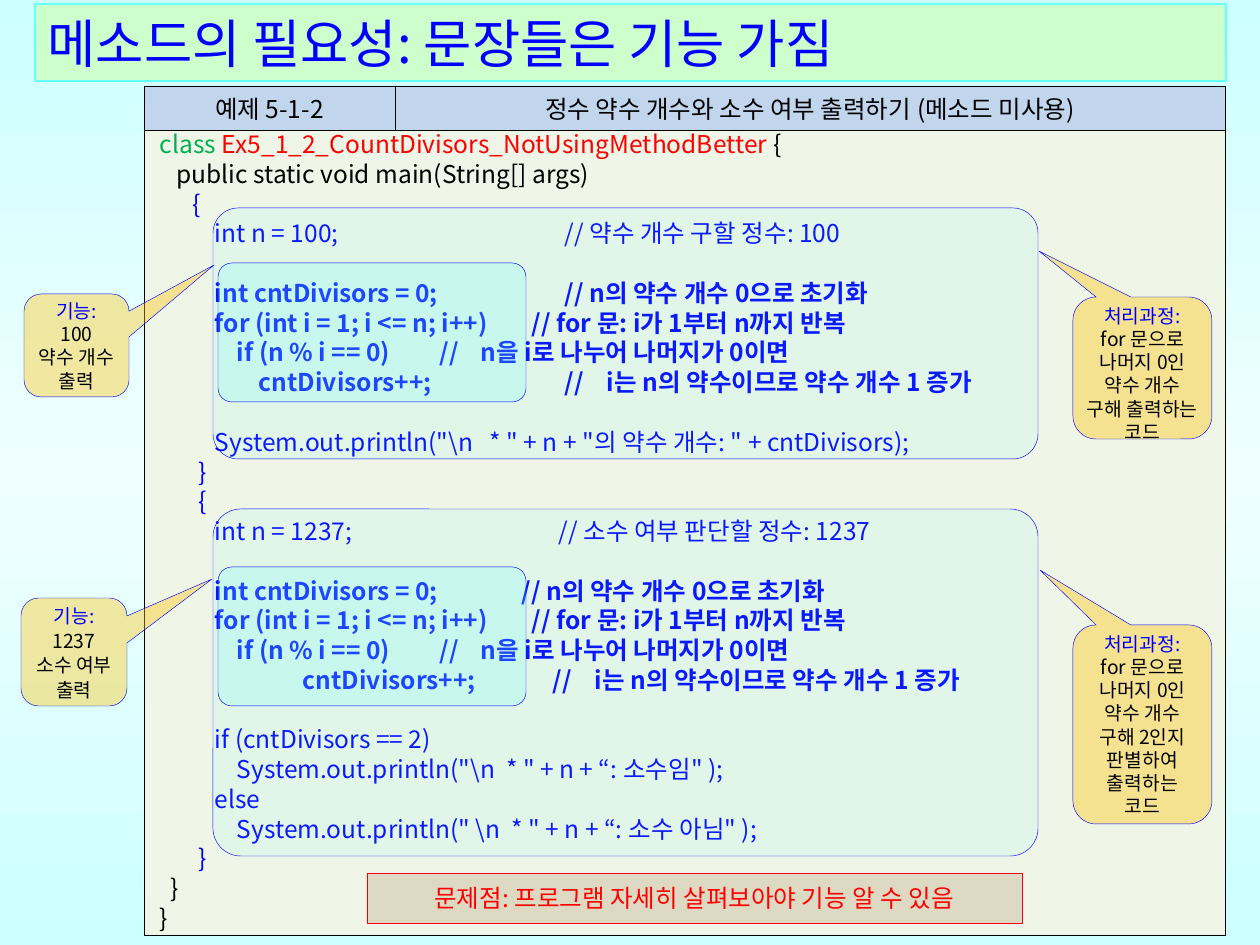
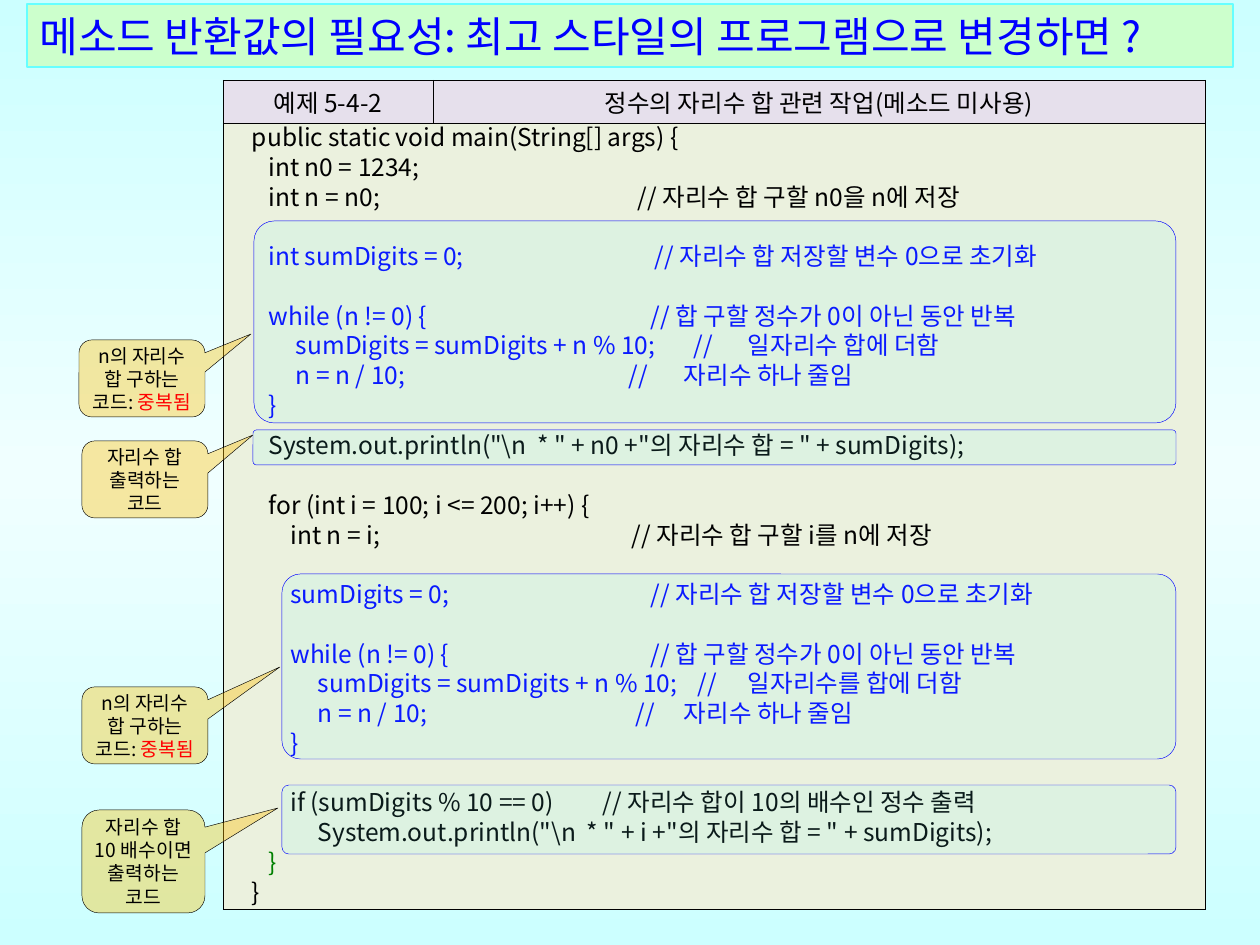
from dataclasses import dataclass

from lxml import etree
from pptx import Presentation
from pptx import util as u
from pptx.dml.color import RGBColor
from pptx.enum import shapes, text
from pptx.oxml import ns

SCALE = 914400 / 126  # EMU in one px
FONT = "Noto Sans CJK KR"
BLUE, BLACK, RED, GREEN = "0000FF", "000000", "FF0000", "008000"
LIME, MINT, CYAN, AMBER = "00B050", "CCFFCC", "66FFFF", "FFC000"
SKY = [(0, "CCFFFF"), (50, "F0FFFF"), (100, "CCFFFF")]
ROUND = shapes.MSO_SHAPE.ROUNDED_RECTANGLE
BUBBLE = shapes.MSO_SHAPE.ROUNDED_RECTANGULAR_CALLOUT
CENTER = text.PP_ALIGN.CENTER
PITCH = 17  # points between code lines
CHAR = 5.5  # px of one indent column


@dataclass
class Run:
    text: str
    hue: str = BLACK
    bold: bool = False


@dataclass
class Line:
    col: int
    runs: list[Run]
    stops: tuple[int, ...] = ()
    gap: int = 0


@dataclass
class Box:
    x: int
    y: int
    w: int
    h: int


@dataclass
class Pane:
    box: Box
    bend: float = 0.1
    alpha: int = 10


@dataclass
class Note:
    box: Box
    tip: tuple[int, int]
    rows: list[list[Run]]
    edge: str = BLACK
    pitch: float = 13.3


@dataclass
class Grid:
    x: int
    y: int
    cols: tuple[int, int]
    rows: tuple[int, int]
    heads: tuple[str, str]
    tints: tuple[str, str]
    base: int
    lines: list[Line]


def px(val: float) -> u.Emu:
    return u.Emu(round(val * SCALE))


def rgb(hue: str) -> RGBColor:
    return RGBColor.from_string(hue)


def frame(box: Box) -> tuple:
    return px(box.x), px(box.y), px(box.w), px(box.h)


def sub(host, tag: str, **attrs):
    return etree.SubElement(host, ns.qn(tag), {k: str(v) for k, v in attrs.items()})


def write(par, runs: list[Run], size: float) -> None:
    for item in runs:
        run = par.add_run()
        run.text = item.text
        font = run.font
        font.size, font.bold, font.name = u.Pt(size), item.bold, FONT
        font.color.rgb = rgb(item.hue)
        sub(run._r.rPr, "a:ea", typeface=FONT)


def paint(shape, fill: str, edge: str, width: float = 0.25, alpha: int = 100) -> None:
    shape.fill.solid()
    shape.fill.fore_color.rgb = rgb(fill)
    if alpha < 100:
        tint = shape._element.spPr.find(ns.qn("a:solidFill"))[0]
        sub(tint, "a:alpha", val=alpha * 1000)
    shape.line.color.rgb = rgb(edge)
    shape.line.width = u.Pt(width)
    shape.shadow.inherit = False


def sky(prs) -> None:
    """Give every slide the same vertical gradient."""
    master = prs.slide_master
    fill = master.background.fill
    fill.gradient()
    fill.gradient_angle = 270
    stops = master.element.xpath(".//p:bg//a:gsLst")[0]
    for old in list(stops):
        stops.remove(old)
    for pos, hue in SKY:
        sub(sub(stops, "a:gs", pos=pos * 1000), "a:srgbClr", val=hue)


def title(slide, box: Box, words: str, size: int) -> None:
    shape = slide.shapes.title
    shape.left, shape.top, shape.width, shape.height = frame(box)
    paint(shape, MINT, CYAN, 0.75)
    body = shape.text_frame
    body.auto_size = text.MSO_AUTO_SIZE.NONE
    body.vertical_anchor = text.MSO_ANCHOR.MIDDLE
    body.margin_top = body.margin_bottom = 0
    body.paragraphs[0].alignment = text.PP_ALIGN.LEFT
    write(body.paragraphs[0], [Run(words, BLUE)], size)


def pane(slide, item: Pane) -> None:
    shape = slide.shapes.add_shape(ROUND, *frame(item.box))
    shape.adjustments[0] = item.bend
    paint(shape, CYAN, BLUE, alpha=item.alpha)


def note(slide, item: Note) -> None:
    box = item.box
    shape = slide.shapes.add_shape(BUBBLE, *frame(box))
    shape.adjustments[0] = (item.tip[0] - box.x) / box.w - 0.5
    shape.adjustments[1] = (item.tip[1] - box.y) / box.h - 0.5
    paint(shape, AMBER, item.edge, alpha=37)
    body = shape.text_frame
    body.word_wrap = True
    body.vertical_anchor = text.MSO_ANCHOR.TOP
    body.margin_left = body.margin_right = body.margin_top = body.margin_bottom = 0
    for i, row in enumerate(item.rows):
        par = body.add_paragraph() if i else body.paragraphs[0]
        par.alignment, par.line_spacing = CENTER, u.Pt(item.pitch)
        write(par, row, 11)


def style(cell, tint: str) -> None:
    cell.fill.solid()
    cell.fill.fore_color.rgb = rgb(tint)
    cell.vertical_anchor = text.MSO_ANCHOR.MIDDLE
    cell.margin_left = cell.margin_right = px(4)
    cell.margin_top = cell.margin_bottom = px(1)
    prop = cell._tc.get_or_add_tcPr()
    for i, side in enumerate("LRTB"):
        edge = sub(prop, f"a:ln{side}", w=3556)
        sub(sub(edge, "a:solidFill"), "a:srgbClr", val=BLACK)
        prop.insert(i, edge)


def listing(cell, lines: list[Line], base: int) -> None:
    """Set code lines; a tab leads to the indent, later tabs to the remarks."""
    for i, line in enumerate(lines):
        par = cell.text_frame.add_paragraph() if i else cell.text_frame.paragraphs[0]
        par.line_spacing, par.space_before = u.Pt(PITCH), u.Pt(line.gap)
        tabs = sub(par._p.get_or_add_pPr(), "a:tabLst")
        for stop in (base + line.col * CHAR, *line.stops):
            sub(tabs, "a:tab", pos=px(stop), algn="l")
        first, *rest = line.runs
        write(par, [Run("\t" + first.text, first.hue, first.bold), *rest], 14)


def grid(slide, item: Grid) -> None:
    box = Box(item.x, item.y, sum(item.cols), sum(item.rows))
    table = slide.shapes.add_table(2, 2, *frame(box)).table
    for i in range(2):
        table.columns[i].width = px(item.cols[i])
        table.rows[i].height = px(item.rows[i])
        for row in range(2):
            style(table.cell(row, i), item.tints[row])
        par = table.cell(0, i).text_frame.paragraphs[0]
        par.alignment = CENTER
        write(par, [Run(item.heads[i])], 14)
    table.cell(1, 0).merge(table.cell(1, 1))
    listing(table.cell(1, 0), item.lines, item.base)


def code(col: int, words: str, *stops: int, hue: str = BLUE, bold: bool = False, gap: int = 0) -> Line:
    return Line(col, [Run(words, hue, bold)], stops, gap)


def plain(*rows: str) -> list[list[Run]]:
    return [[Run(row)] for row in rows]


def headed(head: str, *rows: str) -> list[list[Run]]:
    return [[Run(head, BLUE)], *plain(*rows)]


def loop(start: int, col: int, last: int) -> list[Line]:
    """The divisor count, which both blocks of the first listing hold."""
    return [
        code(10, "int cntDivisors = 0;\t// n의 약수 개수 0으로 초기화", start, bold=True, gap=PITCH),
        code(10, "for (int i = 1; i <= n; i++)\t// for 문: i가 1부터 n까지 반복", 384, bold=True),
        code(14, "if (n % i == 0)\t//\tn을 i로 나누어 나머지가 0이면", 292, 333, bold=True),
        code(col, "cntDivisors++;\t//\ti는 n의 약수이므로 약수 개수 1 증가", last, last + 42, bold=True),
    ]


def digits(col: int, *marks: int, sign: str, word: str) -> list[Line]:
    """The digit sum loop, which the second listing holds twice."""
    return [
        code(col, f"while (n {sign} 0) {{\t// 합 구할 정수가 0이 아닌 동안 반복", 424, gap=PITCH),
        code(col + 5, f"sumDigits = sumDigits + n % 10;\t//\t{word} 합에 더함", marks[0], 521),
        code(col + 5, "n = n / 10;\t//\t자리수 하나 줄임", marks[1], 457),
        code(col, "}"),
    ]


COUNT = [
    Line(0, [Run("class ", LIME), Run("Ex5_1_2_CountDivisors_NotUsingMethodBetter ", RED), Run("{")]),
    code(3, "public static void main(String[] args)", hue=BLACK),
    code(6, "{"),
    code(10, "int n = 100;\t// 약수 개수 구할 정수: 100", 417),
    *loop(417, 18, 417),
    code(10, 'System.out.println("\\n   * " + n + "의 약수 개수: " + cntDivisors);', gap=PITCH),
    code(7, "}"),
    code(7, "{"),
    code(10, "int n = 1237;\t// 소수 여부 판단할 정수: 1237", 411),
    *loop(374, 26, 405),
    code(10, "if (cntDivisors == 2)", gap=PITCH),
    code(14, 'System.out.println("\\n  * " + n + “: 소수임" );'),
    code(10, "else"),
    code(14, 'System.out.println(" \\n  * " + n + “: 소수 아님" );'),
    code(7, "}"),
    code(2, "}", hue=BLACK),
    code(0, "}", hue=BLACK),
]
TOTAL = [
    code(0, "public static void main(String[] args) {", hue=BLACK),
    code(3, "int n0 = 1234;", hue=BLACK),
    code(3, "int n = n0;\t// 자리수 합 구할 n0을 n에 저장", 411, hue=BLACK),
    code(3, "int sumDigits = 0;\t// 자리수 합 저장할 변수 0으로 초기화", 428, gap=PITCH),
    *digits(3, 467, 402, sign="!=", word="일자리수"),
    code(3, 'System.out.println("\\n  * " + n0 +"의 자리수 합 = " + sumDigits);', hue=BLACK, gap=6),
    code(3, "for (int i = 100; i <= 200; i++) {", hue=BLACK, gap=PITCH),
    code(7, "int n = i;\t// 자리수 합 구할 i를 n에 저장", 405, hue=BLACK),
    code(7, "sumDigits = 0;\t// 자리수 합 저장할 변수 0으로 초기화", 424, gap=PITCH),
    *digits(7, 471, 409, sign="!=", word="일자리수를"),
    code(7, "if (sumDigits % 10 == 0)\t// 자리수 합이 10의 배수인 정수 출력", 376, hue=BLACK, gap=PITCH),
    code(12, 'System.out.println("\\n  * " + i +"의 자리수 합 = " + sumDigits);', hue=BLACK),
    code(3, "}", hue=GREEN),
    code(0, "}", hue=BLACK),
]
TWICE = [*plain("n의 자리수", "합 구하는"), [Run("코드: "), Run("중복됨", RED)]]


def first(slide) -> None:
    title(slide, Box(35, 4, 1191, 77), "메소드의 필요성: 문장들은 기능 가짐", 30)
    grid(slide, Grid(144, 86, (251, 830), (44, 805),
                     ("예제 5-1-2", "정수 약수 개수와 소수 여부 출력하기 (메소드 미사용)"),
                     ("C1D6ED", "EFF6E7"), 12, COUNT))
    # Notes on purpose (left) and process (right)
    for item in (
        Note(Box(21, 598, 106, 108), (212, 579), headed("기능:", "1237", "소수 여부", "출력"), BLUE, 14),
        Note(Box(24, 294, 105, 103), (214, 265), headed("기능:", "100", "약수 개수", "출력"), BLUE),
        Note(Box(1073, 625, 139, 199), (1040, 570),
             headed("처리과정:", "for 문으로", "나머지 0인", "약수 개수", "구해 2인지", "판별하여",
                    "출력하는", "코드"), BLUE),
        Note(Box(1073, 297, 139, 142), (1039, 251),
             headed("처리과정:", "for 문으로", "나머지 0인", "약수 개수", "구해 출력하는", "코드"), BLUE),
    ):
        note(slide, item)
    # Problem strip
    strip = slide.shapes.add_shape(shapes.MSO_SHAPE.RECTANGLE, *frame(Box(367, 873, 655, 50)))
    paint(strip, "DDD9C3", RED)
    strip.text_frame.vertical_anchor = text.MSO_ANCHOR.MIDDLE
    par = strip.text_frame.paragraphs[0]
    par.alignment = CENTER
    write(par, [Run("문제점: 프로그램 자세히 살펴보아야 기능 알 수 있음", RED)], 14)
    # Blocks and the loops inside them
    for y, high, bend in ((208, 251, 0.1), (509, 347, 0.08)):
        pane(slide, Pane(Box(213, y, 825, high), bend))
    for y in (263, 567):
        pane(slide, Pane(Box(218, y, 308, 139), alpha=20))


def second(slide) -> None:
    title(slide, Box(27, 4, 1206, 63), "메소드 반환값의 필요성: 최고 스타일의 프로그램으로 변경하면 ?", 24)
    grid(slide, Grid(223, 80, (210, 772), (43, 785),
                     ("예제 5-4-2", "정수의 자리수 합 관련 작업(메소드 미사용)"),
                     ("E6E0EC", "EBF1DE"), 25, TOTAL))
    # Blocks share their right edge
    for x, y, high in ((254, 221, 202), (253, 430, 35), (282, 574, 185), (282, 785, 69)):
        pane(slide, Pane(Box(x, y, 1176 - x, high)))
    for item in (
        Note(Box(79, 340, 126, 77), (251, 334), TWICE),
        Note(Box(82, 441, 126, 77), (253, 435), plain("자리수 합", "출력하는", "코드")),
        Note(Box(82, 687, 126, 77), (280, 667), TWICE),
        Note(Box(82, 810, 123, 103), (278, 808), plain("자리수 합", "10 배수이면 출력하는", "코드")),
    ):
        note(slide, item)


def main() -> None:
    prs = Presentation()
    prs.slide_width, prs.slide_height = px(1260), px(945)
    sky(prs)
    for build in (first, second):
        build(prs.slides.add_slide(prs.slide_layouts[5]))
    prs.save("out.pptx")


if __name__ == "__main__":
    main()
